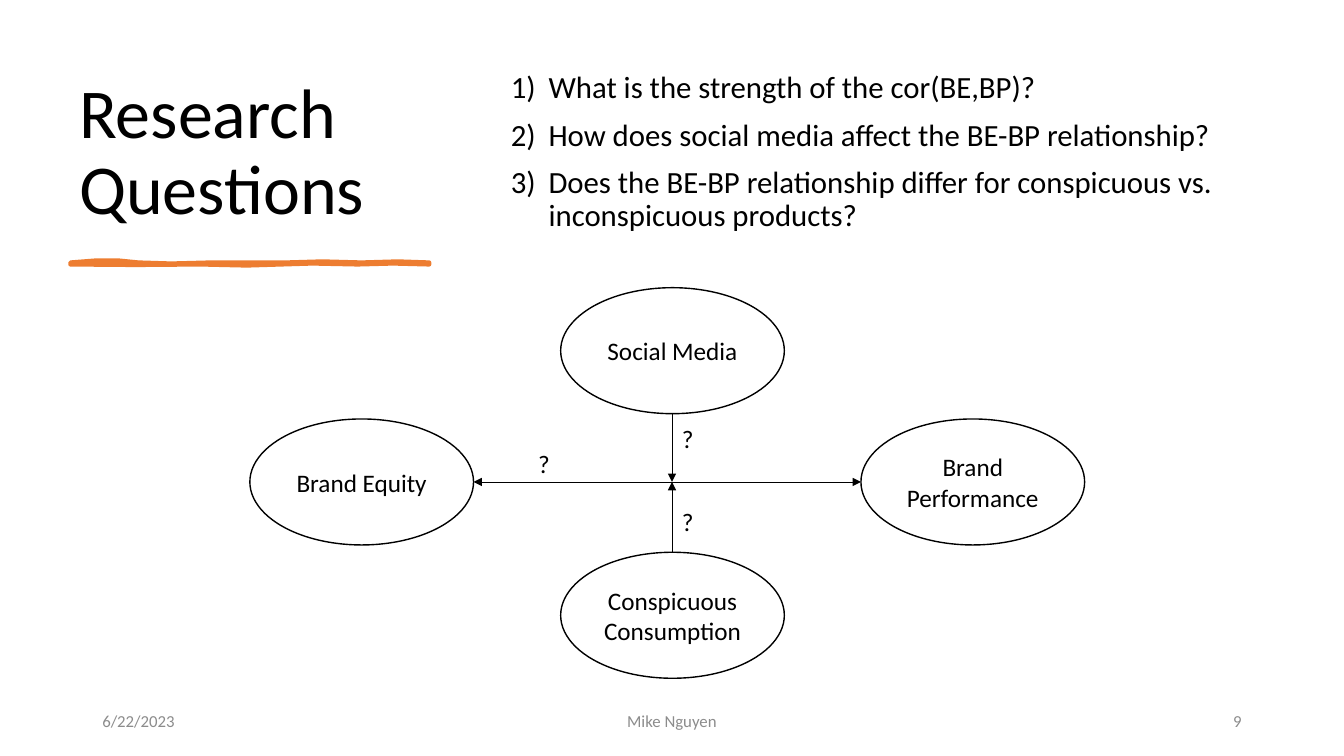
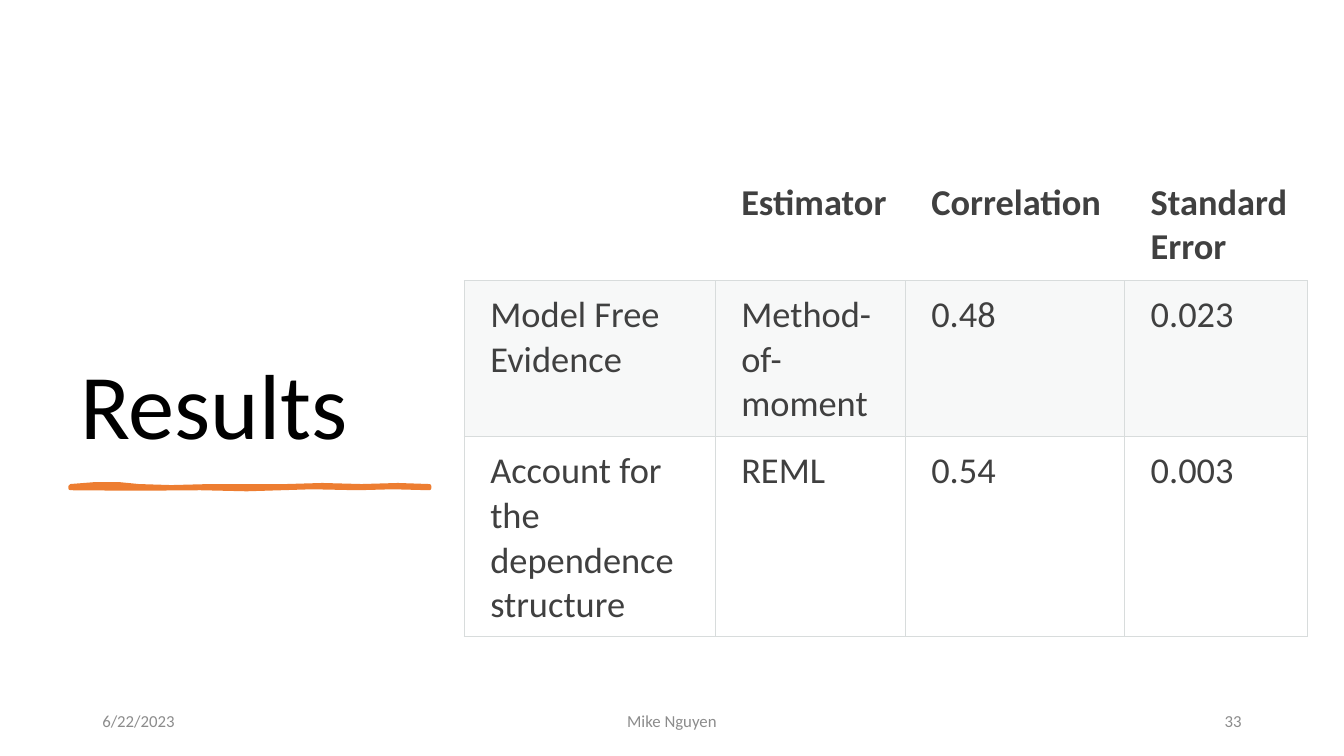
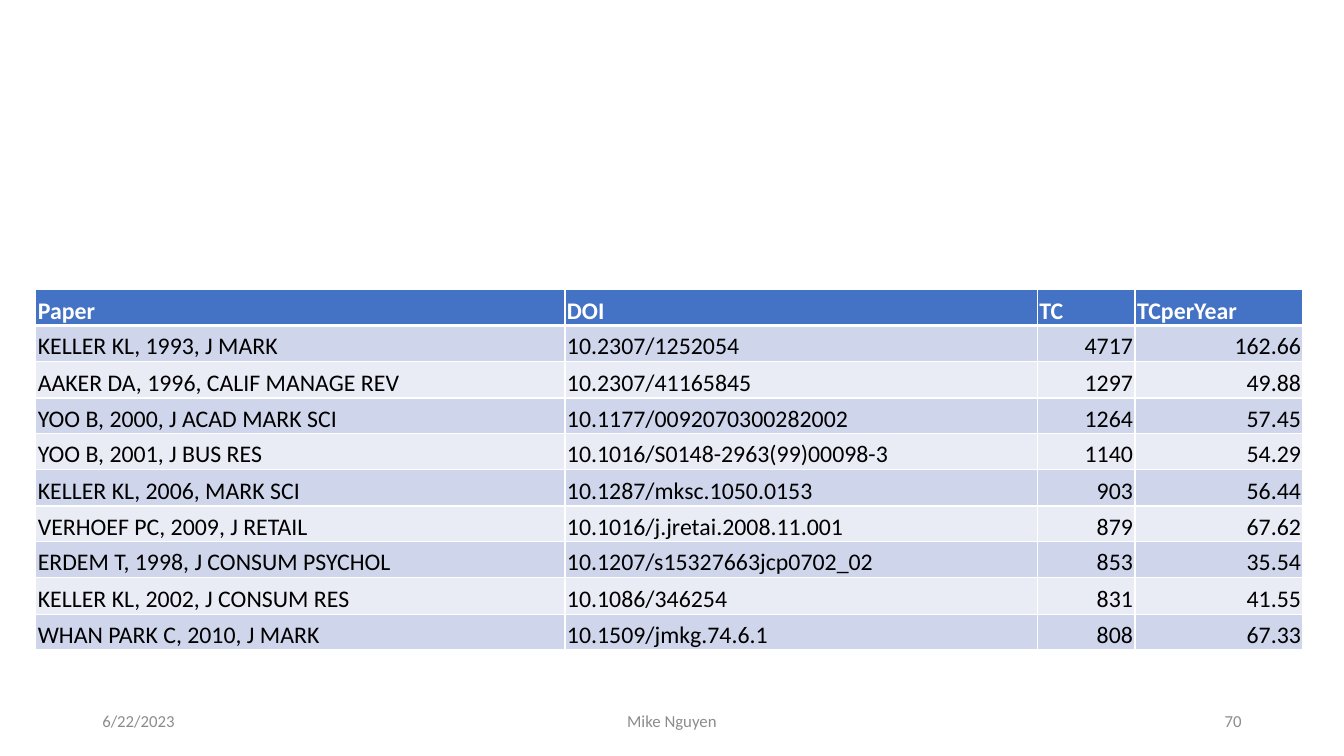
import dataclasses
import typing

import pptx
import pptx.dml.color
import pptx.enum.shapes
import pptx.enum.text
import pptx.oxml.ns
import pptx.util
from lxml import etree

SCALE = 9525
FONT = "Calibri"
INK = {
    "black": "000000", "white": "FFFFFF", "gray": "8C8C8C", "dark": "404040",
    "orange": "ED7D31", "blue": "4472C4", "band": "CFD5EA", "pale": "E9EBF5",
    "mist": "F7F8F8", "rule": "D8DCDC",
}
LEFT, MID, RIGHT = (pptx.enum.text.PP_ALIGN[n] for n in ("LEFT", "CENTER", "RIGHT"))
TOP, CENTER, BOTTOM = (pptx.enum.text.MSO_ANCHOR[n] for n in ("TOP", "MIDDLE", "BOTTOM"))
SHAPE = pptx.enum.shapes.MSO_SHAPE
BRUSH = [
    (0, 0), (240, -19), (460, -19), (650, 0), (960, 10), (1334, 0), (2054, 0),
    (2400, -10), (2774, 0), (3120, -10), (3418, 0), (3418, 19), (3072, 10),
    (2736, 19), (2304, 10), (1680, 29), (1238, 19), (620, 24), (0, 19),
]


class Box(typing.NamedTuple):
    x: int
    y: int
    w: int
    h: int


class Node(typing.NamedTuple):
    text: str
    x: int
    y: int


class Arrow(typing.NamedTuple):
    start: tuple[int, int]
    end: tuple[int, int]
    both: bool


@dataclasses.dataclass(frozen=True)
class Grid:
    x: int
    y: int
    cols: tuple[int, ...]
    rows: tuple[int, ...]
    data: list[tuple[str, ...]]
    size: int
    inset: tuple[int, int, int, int]
    anchor: typing.Any
    heads: tuple[str, str | None]
    body: tuple[str, tuple[str | None, ...]]
    nums: tuple[int, ...]
    lines: tuple[str, int]
    base: int
    sides: str


FOOTER = [
    ("6/22/2023", Box(88, 667, 288, 38), LEFT),
    ("Mike Nguyen", Box(424, 667, 432, 38), MID),
    ("", Box(904, 667, 288, 38), RIGHT),
]
ASKS = [
    "What is the strength of the cor(BE,BP)?",
    "How does social media affect the BE-BP relationship?",
    "Does the BE-BP relationship differ for conspicuous vs. inconspicuous products?",
]
NODES = [
    Node("Brand Equity", 238, 399),
    Node("Brand Performance", 820, 399),
    Node("Social Media", 534, 274),
    Node("Conspicuous Consumption", 534, 526),
]
ARROWS = [
    Arrow((451, 459), (820, 459), True),
    Arrow((640, 394), (640, 459), False),
    Arrow((640, 526), (640, 459), False),
]
MARKS = [(503, 422), (640, 398), (640, 477)]
RESULTS = Grid(
    442, 160, (239, 181, 209, 174), (99, 136, 175),
    [
        ("", "Estimator", "Correlation", "Standard Error"),
        ("Model Free Evidence", "Method-of-moment", "0.48", "0.023"),
        ("Account for the dependence structure", "REML", "0.54", "0.003"),
    ],
    26, (25, 12, 12, 12), TOP, ("dark", None), ("dark", ("mist", None)),
    (), ("rule", 9525), 9525, "B",
)
PAPERS = Grid(
    34, 276, (504, 450, 93, 160), (34, 34, 35) * 3 + (34,),
    [
        ("Paper", "DOI", "TC", "TCperYear"),
        ("KELLER KL, 1993, J MARK", "10.2307/1252054", "4717", "162.66"),
        ("AAKER DA, 1996, CALIF MANAGE REV", "10.2307/41165845", "1297", "49.88"),
        ("YOO B, 2000, J ACAD MARK SCI", "10.1177/0092070300282002", "1264", "57.45"),
        ("YOO B, 2001, J BUS RES", "10.1016/S0148-2963(99)00098-3", "1140", "54.29"),
        ("KELLER KL, 2006, MARK SCI", "10.1287/mksc.1050.0153", "903", "56.44"),
        ("VERHOEF PC, 2009, J RETAIL", "10.1016/j.jretai.2008.11.001", "879", "67.62"),
        ("ERDEM T, 1998, J CONSUM PSYCHOL", "10.1207/s15327663jcp0702_02", "853", "35.54"),
        ("KELLER KL, 2002, J CONSUM RES", "10.1086/346254", "831", "41.55"),
        ("WHAN PARK C, 2010, J MARK", "10.1509/jmkg.74.6.1", "808", "67.33"),
    ],
    17, (2, 2, 2, 0), BOTTOM, ("white", "blue"), ("black", ("band", "pale")),
    (2, 3), ("white", 12700), 38100, "LRTB",
)


def px(n: int) -> int:
    return n * SCALE


def tint(name: str) -> pptx.dml.color.RGBColor:
    return pptx.dml.color.RGBColor.from_string(INK[name])


def child(parent: typing.Any, tag: str, **attrs: str) -> typing.Any:
    return etree.SubElement(parent, pptx.oxml.ns.qn(tag), attrs)


def write(frame: typing.Any, text: str, *, size: int = 18, color: str = "black",
          bold: bool = False, align: typing.Any = LEFT, lead: float = 1.0,
          gap: int = 0, indent: int = 0) -> None:
    for i, line in enumerate(text.split("\n")):
        para = frame.add_paragraph() if i else frame.paragraphs[0]
        if indent:
            props = para._p.get_or_add_pPr()
            props.set("marL", str(px(indent)))
            props.set("indent", str(-px(indent)))
            child(props, "a:buFont", typeface="+mj-lt")
            child(props, "a:buAutoNum", type="arabicParenR")
        para.alignment = align
        para.line_spacing = lead
        if i:
            para.space_before = pptx.util.Pt(gap)
        run = para.add_run()
        run.text = line
        run.font.name = FONT
        run.font.size = pptx.util.Pt(size)
        run.font.bold = bold
        run.font.color.rgb = tint(color)


def label(slide: typing.Any, box: Box, text: str, anchor: typing.Any = TOP,
          **style: typing.Any) -> None:
    frame = slide.shapes.add_textbox(*map(px, box)).text_frame
    frame.word_wrap = True
    frame.vertical_anchor = anchor
    write(frame, text, **style)


def title(slide: typing.Any, box: Box, text: str, size: int, y: int) -> None:
    label(slide, box, text, BOTTOM, size=size, lead=0.9)
    pen = slide.shapes.build_freeform(*BRUSH[0], scale=SCALE / 10)
    pen.add_line_segments(BRUSH[1:], close=True)
    stroke = pen.convert_to_shape(px(67), px(y))
    stroke.shadow.inherit = False
    stroke.fill.solid()
    stroke.fill.fore_color.rgb = tint("orange")
    stroke.line.color.rgb = tint("orange")
    stroke.line.width = pptx.util.Pt(3)


def footer(slide: typing.Any, page: int) -> None:
    for text, box, align in FOOTER:
        label(slide, box, text or str(page), CENTER, size=12, color="gray", align=align)


def oval(slide: typing.Any, node: Node) -> None:
    shape = slide.shapes.add_shape(SHAPE.OVAL, *map(px, (node.x, node.y, 213, 120)))
    shape.shadow.inherit = False
    shape.fill.solid()
    shape.fill.fore_color.rgb = tint("white")
    shape.line.color.rgb = tint("black")
    shape.line.width = pptx.util.Pt(1)
    shape.text_frame.word_wrap = True
    shape.text_frame.vertical_anchor = CENTER
    write(shape.text_frame, node.text, align=MID)


def link(slide: typing.Any, arrow: Arrow) -> None:
    kind = pptx.enum.shapes.MSO_CONNECTOR.STRAIGHT
    line = slide.shapes.add_connector(kind, *map(px, arrow.start + arrow.end))
    line.line.color.rgb = tint("black")
    line.line.width = pptx.util.Pt(0.5)
    props = line.line._get_or_add_ln()
    if arrow.both:
        child(props, "a:headEnd", type="triangle")
    child(props, "a:tailEnd", type="triangle")
    child(line._element.spPr, "a:effectLst")


def edge(cell: typing.Any, side: str, color: str, width: int) -> None:
    line = child(cell._tc.get_or_add_tcPr(), f"a:ln{side}", w=str(width))
    child(child(line, "a:solidFill"), "a:srgbClr", val=INK[color])


def table(slide: typing.Any, grid: Grid) -> None:
    area = (grid.x, grid.y, sum(grid.cols), sum(grid.rows))
    sheet = slide.shapes.add_table(len(grid.rows), len(grid.cols), *map(px, area)).table
    sheet.first_row = sheet.horz_banding = False
    for col, width in zip(sheet.columns, grid.cols):
        col.width = px(width)
    for r, (row, height) in enumerate(zip(sheet.rows, grid.rows)):
        row.height = px(height)
        color, fill = (grid.body[0], grid.body[1][(r - 1) % 2]) if r else grid.heads
        for c, cell in enumerate(row.cells):
            (cell.margin_left, cell.margin_top,
             cell.margin_right, cell.margin_bottom) = map(px, grid.inset)
            cell.vertical_anchor = grid.anchor
            for side in "LRTB" if r else grid.sides:
                thick = (r, side) in ((0, "B"), (1, "T"))
                edge(cell, side, grid.lines[0], grid.base if thick else grid.lines[1])
            if fill:
                cell.fill.solid()
                cell.fill.fore_color.rgb = tint(fill)
            else:
                cell.fill.background()
            if grid.data[r][c]:
                write(cell.text_frame, grid.data[r][c], size=grid.size, color=color,
                      bold=r == 0, align=RIGHT if r and c in grid.nums else LEFT)


def asks(slide: typing.Any) -> None:
    title(slide, Box(66, 67, 506, 156), "Research Questions", 50, 250)
    label(slide, Box(477, 64, 735, 203), "\n".join(ASKS),
          size=22, lead=0.9, gap=10, indent=36)
    for node in NODES:
        oval(slide, node)
    for arrow in ARROWS:
        link(slide, arrow)
    for x, y in MARKS:
        label(slide, Box(x, y, 42, 38), "?")


def results(slide: typing.Any) -> None:
    title(slide, Box(67, 67, 375, 375), "Results", 66, 463)
    table(slide, RESULTS)


def papers(slide: typing.Any) -> None:
    table(slide, PAPERS)


def main() -> None:
    deck = pptx.Presentation()
    deck.slide_width, deck.slide_height = px(1280), px(720)
    for draw, page in ((asks, 9), (results, 33), (papers, 70)):
        slide = deck.slides.add_slide(deck.slide_layouts[6])
        draw(slide)
        footer(slide, page)
    deck.save("out.pptx")


if __name__ == "__main__":
    main()
